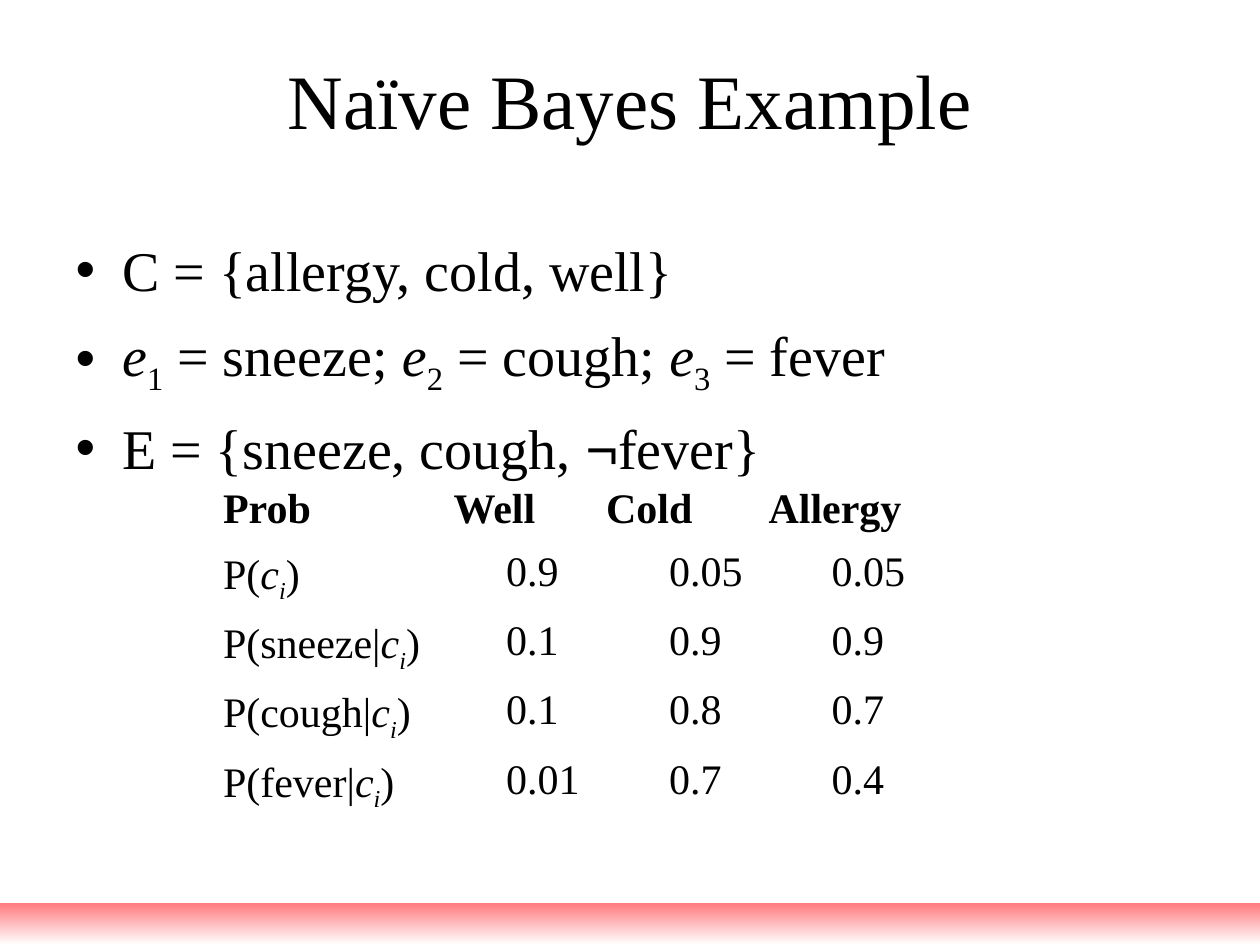
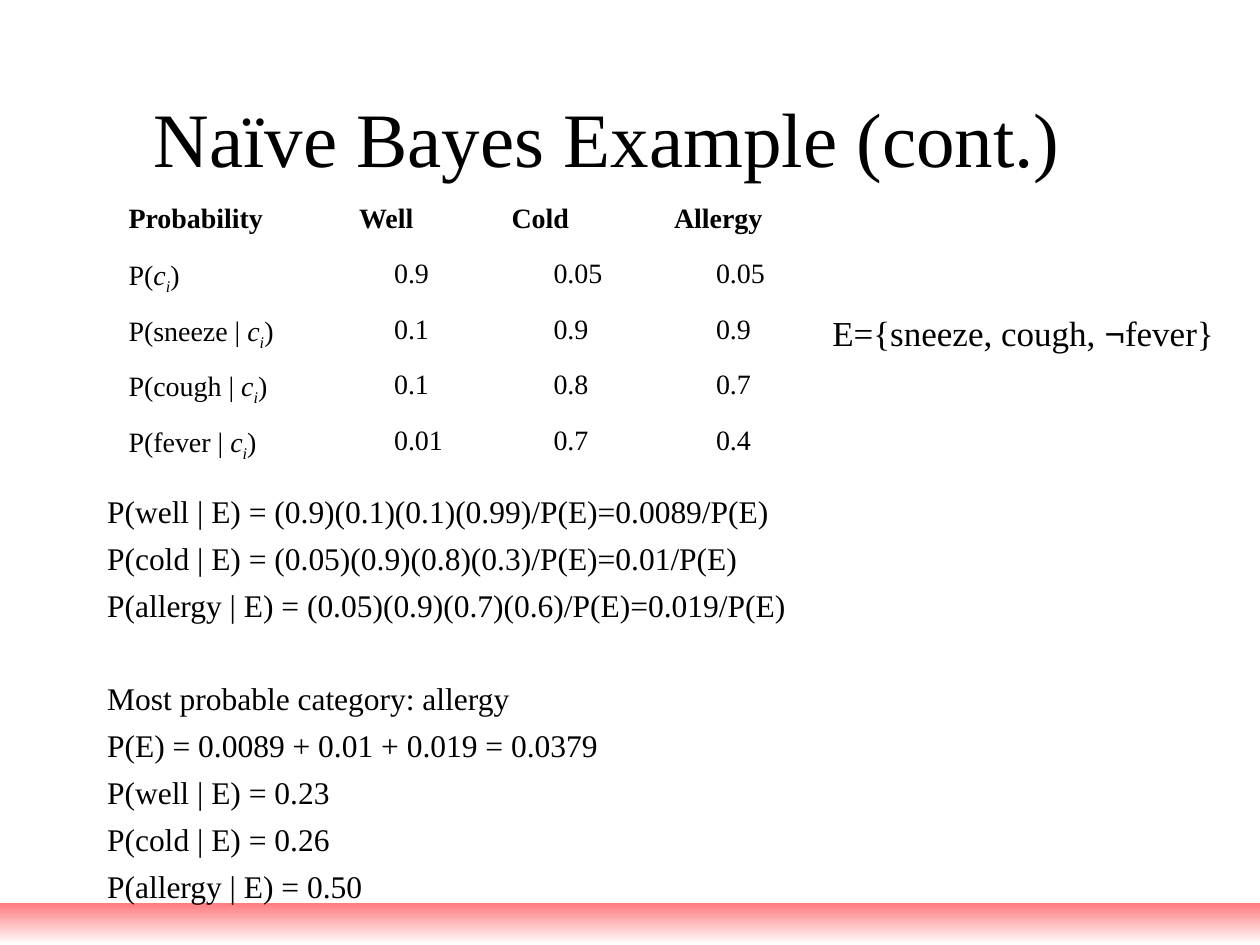
from pptx import Presentation
from pptx.dml.color import RGBColor
from pptx.enum.shapes import MSO_SHAPE
from pptx.enum.text import MSO_ANCHOR, MSO_AUTO_SIZE, PP_ALIGN
from pptx.oxml.xmlchemy import OxmlElement
from pptx.util import Inches, Pt

BLACK = RGBColor(0x00, 0x00, 0x00)
WHITE = RGBColor(0xFF, 0xFF, 0xFF)
CORAL = RGBColor(0xFF, 0x7C, 0x80)
FONT, SYMBOL_FONT = "Times New Roman", "Arial"

# Content: a paragraph is a list of (text, style) runs
PLAIN, ITALIC, SUB, ITALIC_SUB, SYMBOL = "plain", "italic", "sub", "italic sub", "symbol"


def evidence(start):
    return [(start, PLAIN), ("¬", SYMBOL), ("fever}", PLAIN)]


DEFINITIONS = [
    [("C = {allergy, cold, well}", PLAIN)],
    [("e", ITALIC), ("1", SUB), (" = sneeze; ", PLAIN),
     ("e", ITALIC), ("2", SUB), (" = cough; ", PLAIN),
     ("e", ITALIC), ("3", SUB), (" = fever", PLAIN)],
    evidence("E = {sneeze, cough, "),
]
POSTERIORS = [
    "P(well | E) = (0.9)(0.1)(0.1)(0.99)/P(E)=0.0089/P(E)",
    "P(cold | E) = (0.05)(0.9)(0.8)(0.3)/P(E)=0.01/P(E)",
    "P(allergy | E) = (0.05)(0.9)(0.7)(0.6)/P(E)=0.019/P(E)",
]
CONCLUSIONS = [
    "Most probable category: allergy",
    "P(E) = 0.0089 + 0.01 + 0.019 = 0.0379",
    "P(well | E) = 0.23",
    "P(cold | E) = 0.26",
    "P(allergy | E) = 0.50",
]
CATEGORIES = ["Well", "Cold", "Allergy"]
PROBABILITIES = [
    ("", ["0.9", "0.05", "0.05"]),
    ("sneeze", ["0.1", "0.9", "0.9"]),
    ("cough", ["0.1", "0.8", "0.7"]),
    ("fever", ["0.01", "0.7", "0.4"]),
]
VALUE_INDENTS_EM = [1.25, 1.5, 1.5]


# Text helpers
def add_runs(p, runs, size, bold=False):
    for text, style in runs:
        r = p.add_run()
        r.text = text
        r.font.name = SYMBOL_FONT if style == SYMBOL else FONT
        r.font.size = Pt(size)
        r.font.bold = bold
        r.font.italic = ITALIC in style
        r.font.color.rgb = BLACK
        if SUB in style:
            r.font._element.set("baseline", "-25000")


def place(sp, left, top, width, height, inset_top):
    sp.left, sp.top = Inches(left), Inches(top)
    sp.width, sp.height = Inches(width), Inches(height)
    tf = sp.text_frame
    tf.auto_size = MSO_AUTO_SIZE.NONE
    tf.word_wrap = True
    tf.vertical_anchor = MSO_ANCHOR.TOP
    tf.margin_top = Inches(inset_top)
    return tf


def set_bullet(p, char=None):
    pPr = p._p.get_or_add_pPr()
    pPr.set("marL", str(Inches(0.37)))
    pPr.set("indent", str(Inches(-0.37)))
    if char:
        bullet = OxmlElement("a:buChar")
        bullet.set("char", char)
    else:
        bullet = OxmlElement("a:buNone")
    pPr.append(bullet)


def fill_body(tf, paragraphs, size, space, bullet=None):
    for i, runs in enumerate(paragraphs):
        p = tf.paragraphs[0] if i == 0 else tf.add_paragraph()
        p.space_before = Pt(space)
        p.line_spacing = 1.04
        set_bullet(p, bullet)
        add_runs(p, runs, size)


# Shared slide parts
def add_band(prs, slide):
    """Put the gradient band on the master, behind everything else."""
    band = slide.shapes.add_shape(MSO_SHAPE.RECTANGLE, 0, Inches(7.17), prs.slide_width, Inches(0.33))
    band.shadow.inherit = False
    band.line.fill.background()
    band.fill.gradient()
    band.fill.gradient_angle = 270
    for stop, color in zip(band.fill.gradient_stops, (CORAL, WHITE)):
        stop.color.rgb = color
    prs.slide_master.shapes.element.insert(2, band.element)


def add_slide(prs, title, left, top):
    slide = prs.slides.add_slide(prs.slide_layouts[1])
    tf = place(slide.shapes.title, left, top, 9, 1.25, 0.12)
    p = tf.paragraphs[0]
    p.alignment = PP_ALIGN.CENTER
    add_runs(p, [(title, PLAIN)], 44)
    return slide


def add_probability_table(slide, left, top, widths, heights, size, space, corner, bar):
    rows = [[[(text, PLAIN)] for text in [corner] + CATEGORIES]]
    for symptom, values in PROBABILITIES:
        start = f"P({symptom}{bar}" if symptom else "P("
        label = [(start, PLAIN), ("c", ITALIC), ("i", ITALIC_SUB), (")", PLAIN)]
        rows.append([label] + [[(value, PLAIN)] for value in values])

    table = slide.shapes.add_table(
        len(rows), len(widths), Inches(left), Inches(top),
        Inches(sum(widths)), Inches(sum(heights))).table
    table.first_row = table.horz_banding = False
    for column, width in zip(table.columns, widths):
        column.width = Inches(width)
    for i, (row, height) in enumerate(zip(rows, heights)):
        table.rows[i].height = Inches(height)
        for j, runs in enumerate(row):
            cell = table.cell(i, j)
            cell.fill.background()
            if i and j:
                cell.margin_left = Inches(0.1) + Pt(VALUE_INDENTS_EM[j - 1] * size)
                cell.margin_right = 0
            p = cell.text_frame.paragraphs[0]
            p.line_spacing = 0.93
            p.space_before = Pt(space)
            add_runs(p, runs, size, bold=i == 0)


def main():
    prs = Presentation()
    prs.slide_width, prs.slide_height = Inches(10), Inches(7.5)

    # Slide 1: definitions and probabilities
    slide = add_slide(prs, "Naïve Bayes Example", 0.5, 0.3)
    add_band(prs, slide)
    tf = place(slide.placeholders[1], 0.5, 1.75, 9, 4.95, 0.1)
    fill_body(tf, DEFINITIONS, 32, 8, "•")
    add_probability_table(slide, 1.67, 3.83, [1.83, 1.21, 1.29, 1.33],
                          [0.5] + [0.55] * 4, 24, 6, "Prob", "|")

    # Slide 2: posteriors, worked out below the table
    slide = add_slide(prs, "Naïve Bayes Example (cont.)", 0.32, 0.6)
    tf = place(slide.placeholders[1], 0.75, 1.5, 8.75, 5.83, 2.39)
    lines = [[(text, PLAIN)] for text in POSTERIORS + CONCLUSIONS]
    fill_body(tf, lines, 18, 4.5)
    tf.paragraphs[len(POSTERIORS)].space_before = Pt(30.5)
    add_probability_table(slide, 0.92, 1.58, [1.83, 1.21, 1.29, 1.17],
                          [0.44] * 4 + [0.41], 16, 4, "Probability", " | ")

    # Evidence note beside the table
    note = slide.shapes.add_textbox(Inches(6.5), Inches(2.42), Inches(3.24), Inches(0.44))
    note.text_frame.word_wrap = False
    p = note.text_frame.paragraphs[0]
    p.alignment = PP_ALIGN.CENTER
    add_runs(p, evidence("E={sneeze, cough, "), 20)

    prs.save("out.pptx")


if __name__ == "__main__":
    main()
